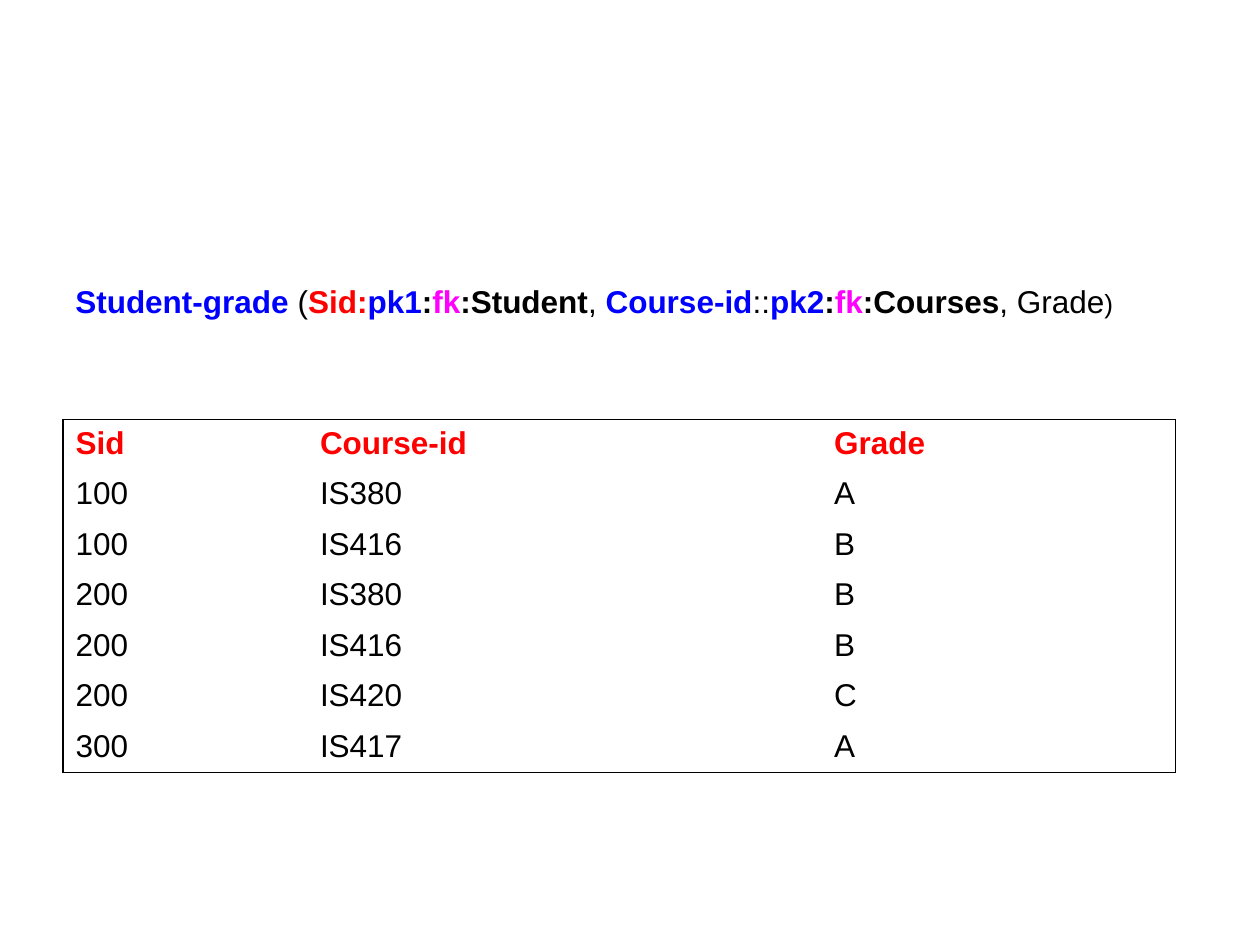
from lxml.etree import SubElement
from pptx import Presentation
from pptx.dml.color import RGBColor
from pptx.enum.text import MSO_ANCHOR
from pptx.oxml.ns import qn
from pptx.util import Inches, Pt

BLACK = RGBColor(0x00, 0x00, 0x00)
BLUE = RGBColor(0x00, 0x00, 0xFF)
RED = RGBColor(0xFF, 0x00, 0x00)
MAGENTA = RGBColor(0xFF, 0x00, 0xFF)
FONT = "Arial"

# Content: relation schema as (text, format) and the table rows
SCHEMA = [
    ("Student-grade", dict(color=BLUE, bold=True)),
    (" (", {}),
    ("Sid:", dict(color=RED, bold=True)),
    ("pk1", dict(color=BLUE, bold=True)),
    (":", dict(bold=True)),
    ("fk", dict(color=MAGENTA, bold=True)),
    (":Student", dict(bold=True)),
    (", ", {}),
    ("Course-id", dict(color=BLUE, bold=True)),
    ("::", {}),
    ("pk2", dict(color=BLUE, bold=True)),
    (":", dict(bold=True)),
    ("fk", dict(color=MAGENTA, bold=True)),
    (":Courses", dict(bold=True)),
    (", Grade", {}),
    (")", dict(size=15)),
]
ROWS = [
    ("Sid", "Course-id", "Grade"),
    ("100", "IS380", "A"),
    ("100", "IS416", "B"),
    ("200", "IS380", "B"),
    ("200", "IS416", "B"),
    ("200", "IS420", "C"),
    ("300", "IS417", "A"),
]
COL_WIDTHS = (1.94, 4.08, 2.81)
ROW_HEIGHT = 0.4


def add_text(p, text, size=18, color=BLACK, bold=False):
    r = p.add_run()
    r.text = text
    r.font.name = FONT
    r.font.size = Pt(size)
    r.font.bold = bold
    r.font.color.rgb = color


def set_borders(cell, **sides):
    """Draw a 1 pt line on each side that is true, none on the others."""
    tc_pr = cell._tc.get_or_add_tcPr()
    for side in "LRTB":
        ln = SubElement(tc_pr, qn(f"a:ln{side}"), w=str(Pt(1)))
        if sides[side]:
            fill = SubElement(ln, qn("a:solidFill"))
            SubElement(fill, qn("a:srgbClr"), val=str(BLACK))
        else:
            SubElement(ln, qn("a:noFill"))


prs = Presentation()
prs.slide_width, prs.slide_height = Inches(10), Inches(7.5)
s = prs.slides.add_slide(prs.slide_layouts[6])

# Relation schema
box = s.shapes.add_textbox(Inches(0.5), Inches(2.17), Inches(8.44), Inches(0.8))
tf = box.text_frame
tf.word_wrap = True
tf.vertical_anchor = MSO_ANCHOR.TOP
tf.margin_top = Inches(0.07)
for text, fmt in SCHEMA:
    add_text(tf.paragraphs[0], text, **fmt)

# Table with an outer frame only
n_rows, n_cols = len(ROWS), len(COL_WIDTHS)
table = s.shapes.add_table(n_rows, n_cols, Inches(0.5), Inches(3.33),
                           Inches(sum(COL_WIDTHS)),
                           Inches(n_rows * ROW_HEIGHT)).table
table.first_row = table.horz_banding = False
for col, width in zip(table.columns, COL_WIDTHS):
    col.width = Inches(width)
for i, values in enumerate(ROWS):
    table.rows[i].height = Inches(ROW_HEIGHT)
    header = i == 0
    for j, value in enumerate(values):
        cell = table.cell(i, j)
        add_text(cell.text_frame.paragraphs[0], value,
                 color=RED if header else BLACK, bold=header)
        set_borders(cell, L=j == 0, R=j == n_cols - 1,
                    T=header, B=i == n_rows - 1)
        cell.fill.background()

prs.save("out.pptx")
